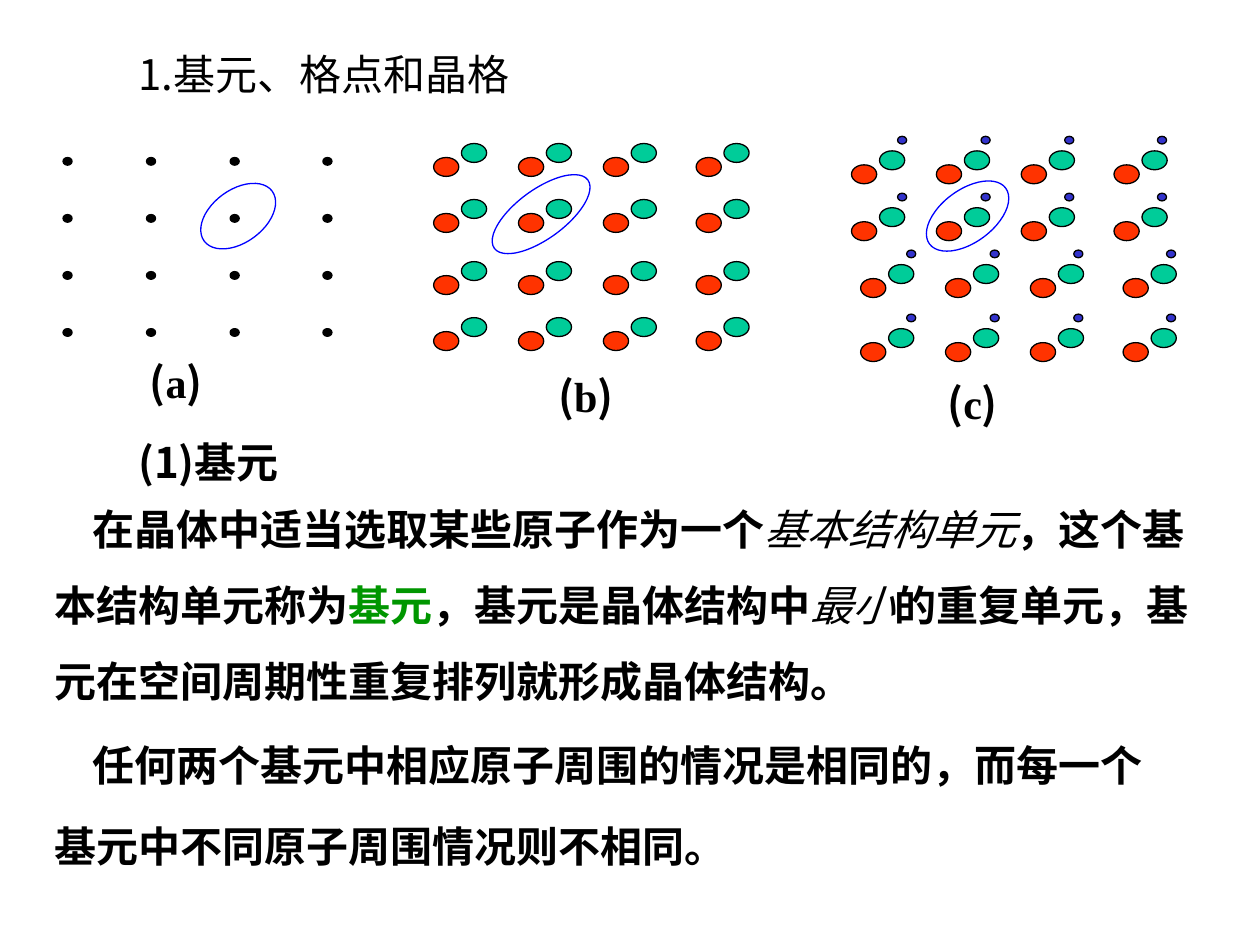
from lxml.etree import SubElement
from pptx import Presentation
from pptx.dml.color import RGBColor as RGB
from pptx.enum.shapes import MSO_SHAPE as Shape
from pptx.enum.text import MSO_AUTO_SIZE as Fit
from pptx.oxml.ns import qn
from pptx.util import Pt

BLACK = RGB(0, 0, 0)
RED = RGB(0xFF, 0x33, 0)
TEAL = RGB(0, 0xCC, 0x99)
NAVY = RGB(0x33, 0x33, 0xCC)
BLUE = RGB(0, 0, 0xFF)
GREEN = RGB(0, 0x96, 0)

ATOM = (14.4, 10.8)
DOT = (5.2, 4.4)
WIDE = (0, 48.5, 97, 150)    # column offsets of the large atoms
TIGHT = (0, 47.7, 95.5, 148.5)  # column offsets of the dots


class Page:
    font = "Noto Sans CJK SC"
    serif = "Times New Roman"
    size = 24

    def __init__(self, slide):
        self.slide = slide

    def text(self, box, runs, bold=True, space=None, indent=0):
        """Runs are (text, dict of font changes) pairs."""
        frame = self.slide.shapes.add_textbox(*map(Pt, box)).text_frame
        frame.word_wrap = True
        frame.auto_size = Fit.SHAPE_TO_FIT_TEXT
        para = frame.paragraphs[0]
        if space:
            para.line_spacing = space
        props = para._p.get_or_add_pPr()
        if indent:
            props.set("indent", str(Pt(indent)))
        font = para.font
        font.size, font.bold, font.name = Pt(self.size), bold, self.font
        font.color.rgb = BLACK
        SubElement(props.find(qn("a:defRPr")), qn("a:ea"), typeface=self.font)
        for words, change in runs:
            run = para.add_run()
            run.text = words
            for key, value in change.items():
                if key == "color":
                    run.font.color.rgb = value
                else:
                    setattr(run.font, key, value)

    def label(self, box, letter):
        self.text(box, [("(", {}), (letter, {"name": self.serif}), (")", {})])

    def oval(self, box, fill=None, line=BLACK, turn=0):
        oval = self.slide.shapes.add_shape(Shape.OVAL, *map(Pt, box))
        oval.shadow.inherit = False
        oval.rotation = turn
        oval.line.color.rgb = line
        oval.line.width = Pt(0.75)
        if fill is None:
            oval.fill.background()
        else:
            oval.fill.solid()
            oval.fill.fore_color.rgb = fill

    def row(self, left, top, cols, size, fill):
        for col in cols:
            self.oval((left + col, top, *size), fill)

    def ring(self, box):
        self.oval(box, line=BLUE, turn=53.8)


def main():
    deck = Presentation()
    deck.slide_width, deck.slide_height = Pt(720), Pt(540)
    page = Page(deck.slides.add_slide(deck.slide_layouts[6]))

    # Headings
    page.text((72, 24, 384, 36), [("1.基元、格点和晶格", {})], bold=False)
    page.text((72, 246, 144, 36), [("(1)基元", {})])

    # Body text
    slant = {"bold": False, "italic": True}
    page.text((24, 270, 672, 137), [
        ("在晶体中适当选取某些原子作为一个", {}),
        ("基本结构单元", slant),
        ("，这个基本结构单元称为", {}),
        ("基元", {"color": GREEN}),
        ("，基元是晶体结构中", {}),
        ("最小", slant),
        ("的重复单元，基元在空间周期性重复排列就形成晶体结构。", {}),
    ], space=1.5, indent=22)
    page.text((24, 402, 654, 99), [
        ("任何两个基元中相应原子周围的情况是相同的，"
         "而每一个基元中不同原子周围情况则不相同。", {}),
    ], space=1.6, indent=22)

    # (a) Lattice points
    for i in range(4):
        page.row(36, 90 + 32.6 * i, TIGHT, DOT, BLACK)
    page.label((78.5, 200, 80, 36), "a")

    # (b) Two atoms in each unit
    for top in (90, 122, 157.5, 189.5):
        page.row(263.7, top - 8, WIDE, ATOM, TEAL)
        page.row(247.8, top, WIDE, ATOM, RED)
    page.label((312, 208, 53, 36), "b")

    # (c) Three atoms in each unit, lower rows shifted
    for left, top in ((486.6, 94.2), (486.6, 126.7),
                      (491.8, 159.2), (491.8, 195.8)):
        page.row(left + 16, top - 8, WIDE, ATOM, TEAL)
        page.row(left, top, WIDE, ATOM, RED)
        page.row(left + 26.3, top - 16.3, TIGHT, DOT, NAVY)
    page.label((534.3, 212.4, 69, 36), "c")

    # Rings around one unit
    page.ring((295.2, 89.3, 28, 66.2))
    page.ring((537.8, 96.5, 30.2, 54))
    page.ring((121, 99.4, 30.2, 48.2))

    deck.save("out.pptx")


if __name__ == "__main__":
    main()
